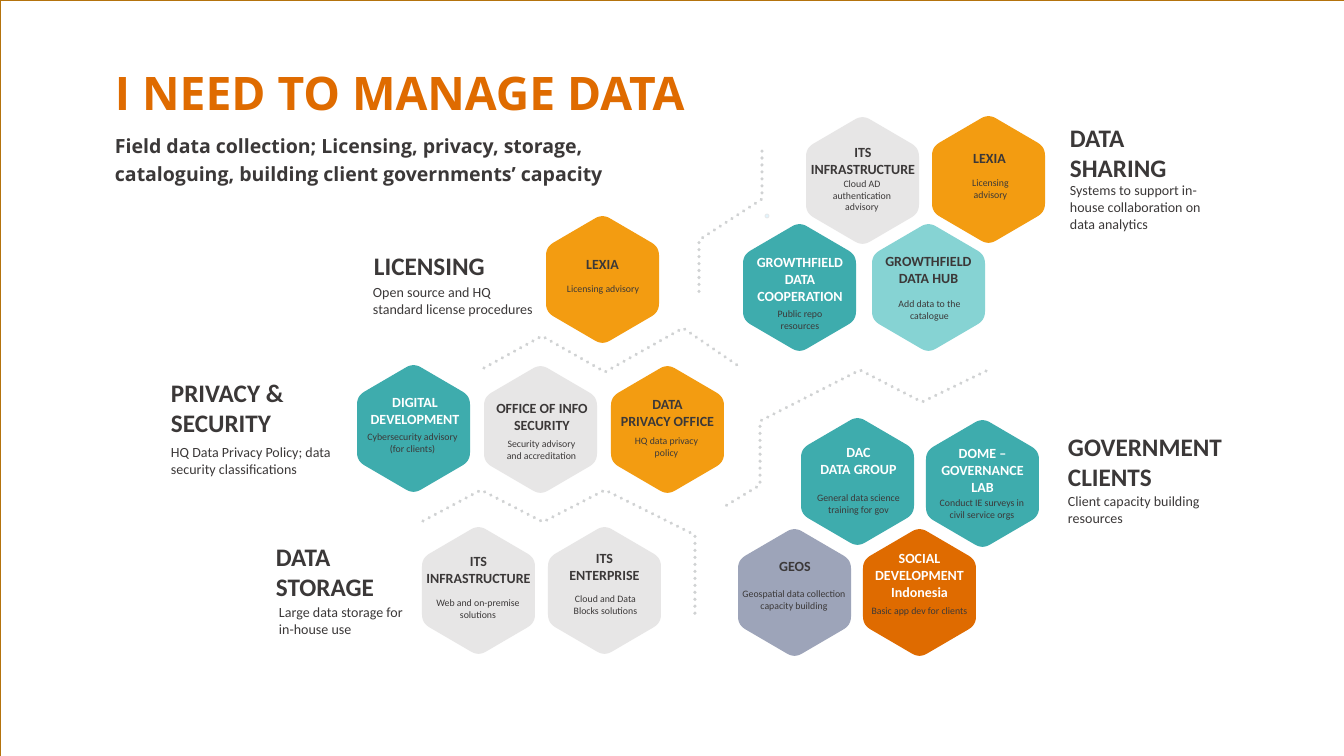
from pptx import Presentation
from pptx.dml.color import RGBColor
from pptx.enum.dml import MSO_LINE
from pptx.enum.shapes import MSO_SHAPE
from pptx.enum.text import MSO_ANCHOR, PP_ALIGN
from pptx.oxml.ns import qn
from pptx.util import Pt

LEFT, CENTER = PP_ALIGN.LEFT, PP_ALIGN.CENTER
TOP, MIDDLE = MSO_ANCHOR.TOP, MSO_ANCHOR.MIDDLE
DOTTED = MSO_LINE.ROUND_DOT
RECT, OVAL = MSO_SHAPE.RECTANGLE, MSO_SHAPE.OVAL

PX = 914400 / 50.4
DARK, WHITE, GRAY = "3B3838", "FFFFFF", "E7E6E6"
TEAL, AQUA, AMBER, ORANGE, SLATE = "3EACAD", "86D3D3", "F39C11", "DF6B00", "9DA4B9"

# Hexagons: corner, fill, title colour, title box, title, note box, note
HEXAGONS = [
    ((926, 420), TEAL, WHITE, (926, 442, 113, 56), "DOME – GOVERNANCE LAB",
     (930, 494, 104, 29), "Conduct IE surveys in civil service orgs"),
    ((801, 418), TEAL, WHITE, (808, 441, 101, 39), "DAC\nDATA GROUP",
     (811, 489, 95, 29), "General data science training for gov"),
    ((738, 529), SLATE, DARK, (739, 555, 112, 22), "GEOS",
     (737, 585, 114, 29), "Geospatial data collection capacity building"),
    ((863, 529), ORANGE, WHITE, (863, 547, 113, 56), "SOCIAL DEVELOPMENT Indonesia",
     (863, 602, 113, 17), "Basic app dev for clients"),
    ((932, 116), AMBER, DARK, (939, 147, 101, 22), "LEXIA",
     (953, 174, 75, 29), "Licensing advisory"),
    ((872, 224), AQUA, DARK, (868, 250, 121, 39), "GROWTHFIELD DATA HUB",
     (884, 295, 91, 29), "Add data to the catalogue"),
    ((743, 224), TEAL, WHITE, (739, 251, 122, 56), "GROWTHFIELD\nDATA COOPERATION",
     (749, 305, 102, 29), "Public repo\nresources"),
    ((806, 117), GRAY, DARK, (805, 141, 116, 39), "ITS\nINFRASTRUCTURE",
     (814, 175, 96, 41), "Cloud AD authentication advisory"),
    ((357, 365), TEAL, WHITE, (357, 391, 116, 39), "DIGITAL\nDEVELOPMENT",
     (356, 428, 113, 30), "Cybersecurity advisory (for clients)"),
    ((484, 366), GRAY, DARK, (487, 397, 110, 39), "OFFICE OF INFO SECURITY",
     (485, 435, 113, 29), "Security advisory\vand accreditation"),
    ((546, 216), AMBER, DARK, (546, 253, 113, 22), "LEXIA",
     (556, 280, 94, 17), "Licensing advisory"),
    ((611, 366), AMBER, DARK, (611, 393, 113, 39), "DATA\nPRIVACY OFFICE",
     (621, 432, 91, 29), "HQ data privacy policy"),
    ((422, 527), GRAY, DARK, (418, 550, 121, 39), "ITS\nINFRASTRUCTURE",
     (421, 594, 114, 29), "Web and on-premise solutions"),
    ((548, 527), GRAY, DARK, (554, 547, 101, 39), "ITS\nENTERPRISE",
     (550, 590, 111, 29), "Cloud and Data\vBlocks solutions"),
]

# Sections: heading box, heading, summary box, summary
SECTIONS = [
    ((369, 248, 155, 36), "LICENSING",
     (368, 281, 172, 39), "Open source and HQ standard license procedures"),
    ((166, 375, 155, 66), "PRIVACY & SECURITY",
     (166, 441, 176, 39), "HQ Data Privacy Policy; data security classifications"),
    ((271, 539, 155, 66), "DATA STORAGE",
     (274, 601, 148, 39), "Large data storage for in-house use"),
    ((1065, 120, 155, 66), "DATA SHARING",
     (1065, 179, 148, 56), "Systems to support in-house collaboration on data analytics"),
    ((1063, 429, 169, 66), "GOVERNMENT\nCLIENTS",
     (1063, 490, 148, 39), "Client capacity building resources"),
]

DIVIDERS = [
    [(986, 371), (922, 402), (860, 370), (760, 421), (760, 485), (722, 508)],
    [(423, 521), (481, 490), (543, 522), (605, 490), (695, 535), (695, 618)],
    [(484, 368), (542, 336), (605, 372), (683, 328), (737, 365)],
    [(762, 151), (762, 199), (699, 240), (699, 295)],
]

prs = Presentation()
prs.slide_width, prs.slide_height = round(1344 * PX), round(756 * PX)
s = prs.slides.add_slide(prs.slide_layouts[6])


def rgb(color):
    return RGBColor.from_string(color)


def style(sp, fill=None, line=None, width=1):
    sp.shadow.inherit = False
    if fill:
        sp.fill.solid()
        sp.fill.fore_color.rgb = rgb(fill)
    else:
        sp.fill.background()
    if line:
        sp.line.color.rgb = rgb(line)
        sp.line.width = Pt(width)
    else:
        sp.line.fill.background()


def add_text(box, text, size=20, color=DARK, bold=False, font="Calibri",
             align=LEFT, anchor=TOP, spacing=None):
    tf = s.shapes.add_textbox(*(round(v * PX) for v in box)).text_frame
    tf.word_wrap = True
    tf.vertical_anchor = anchor
    tf.text = text
    for p in tf.paragraphs:
        p.alignment = align
        if spacing:
            p.line_spacing = spacing
        for r in p.runs:
            r.font.size, r.font.bold, r.font.name = Pt(size), bold, font
            r.font.color.rgb = rgb(color)


def add_path(points, close):
    emu = [(round(x * PX), round(y * PX)) for x, y in points]
    fb = s.shapes.build_freeform(*emu[0])
    fb.add_line_segments(emu[1:], close=close)
    return fb.convert_to_shape()


def rounded(corners, cut=0.13, steps=6):
    """Round each corner with a quadratic curve."""
    points = []
    for i, (x, y) in enumerate(corners):
        ends = corners[i - 1], corners[(i + 1) % len(corners)]
        (ax, ay), (bx, by) = [(x + cut * (ex - x), y + cut * (ey - y)) for ex, ey in ends]
        for k in range(steps + 1):
            t = k / steps
            a, c, b = (1 - t) ** 2, 2 * t * (1 - t), t * t
            points.append((a * ax + c * x + b * bx, a * ay + c * y + b * by))
    return points


# Hexagons first, so that all text lies above them
OUTLINE = rounded([(56.5, -2), (113, 31), (113, 96), (56.5, 129), (0, 96), (0, 31)])
for (x, y), fill, *_ in HEXAGONS:
    style(add_path([(x + dx, y + dy) for dx, dy in OUTLINE], True), fill)

for _, _, color, title_box, title, note_box, note in HEXAGONS:
    add_text(title_box, title, color=color, bold=True, align=CENTER)
    add_text(note_box, note, size=14, align=CENTER)

# Section labels
for head_box, head, summary_box, summary in SECTIONS:
    add_text(head_box, head, size=36, bold=True)
    add_text(summary_box, summary)

# Title and subtitle
add_text((110, 66, 627, 59), "I NEED TO MANAGE DATA", size=66, color=ORANGE,
         bold=True, font="Open Sans", anchor=MIDDLE, spacing=0.9)
add_text((110, 127, 536, 92), "Field data collection; Licensing, privacy, storage, "
         "cataloguing, building client governments’ capacity",
         size=27.9, bold=True, font="Open Sans", spacing=1.2)

# Dotted dividers
for points in DIVIDERS:
    divider = add_path(points, False)
    style(divider, line="D0D2D3", width=5)
    divider.line.dash_style = DOTTED
    divider.element.spPr.find(qn("a:ln")).set("cap", "rnd")

# Small dot and slide frame
for kind, box, fill, line in [(OVAL, (765, 214, 4, 4), "E1F3FB", GRAY),
                              (RECT, (0, 0, 1344, 756), None, "B4730D")]:
    style(s.shapes.add_shape(kind, *(round(v * PX) for v in box)), fill, line)

prs.save("out.pptx")
